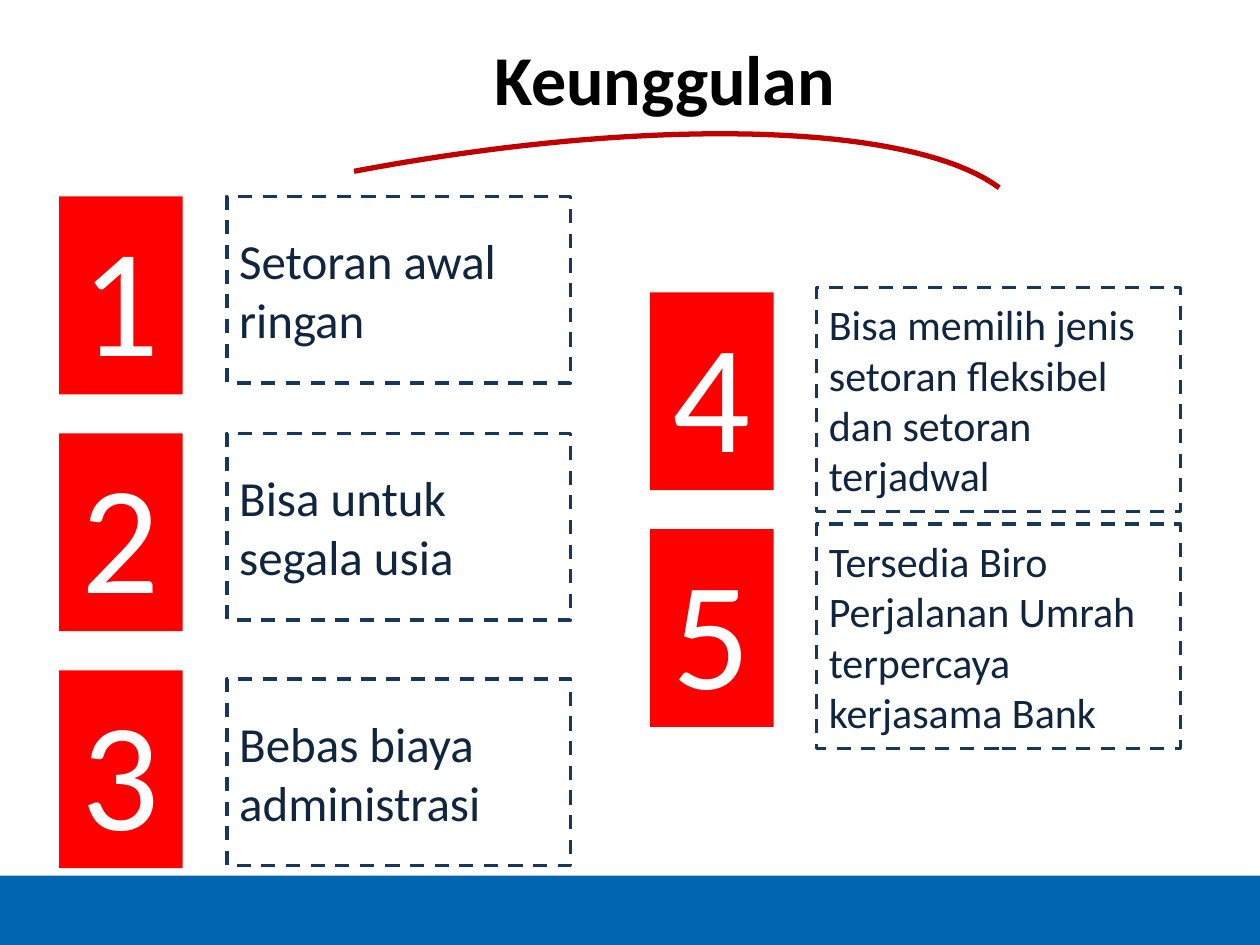
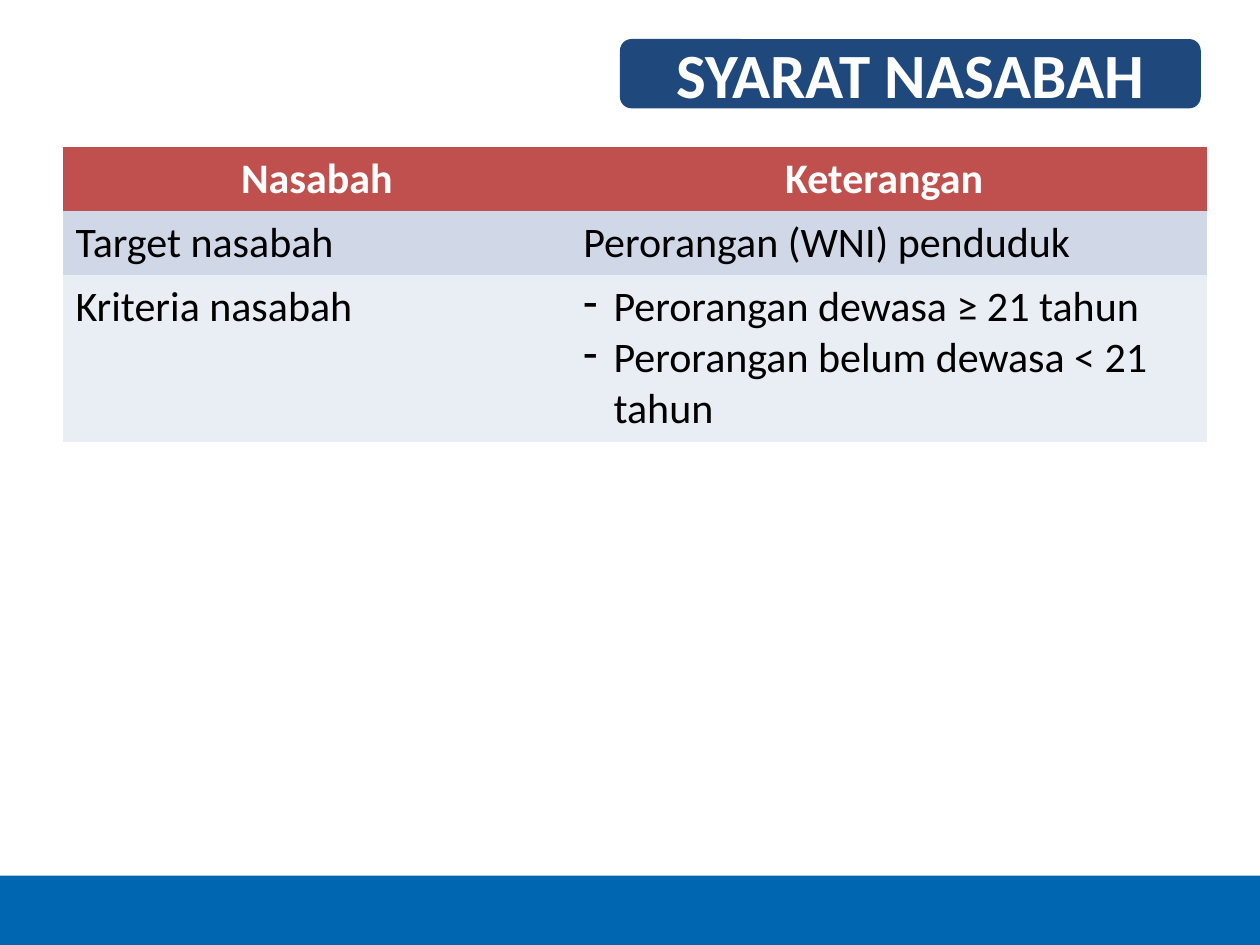
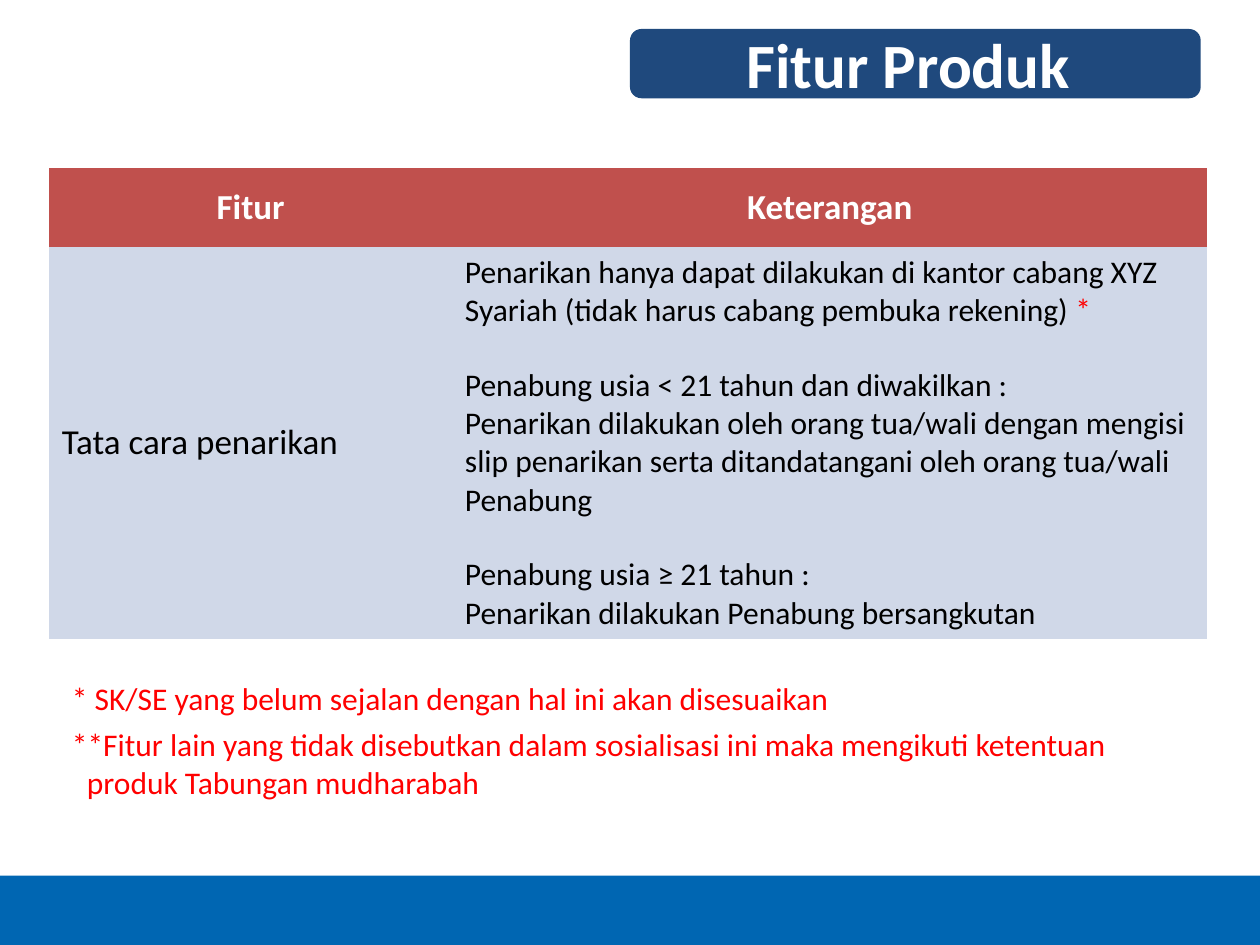
"""Build three slides on a savings product: benefits, terms and features."""
from lxml import etree
from pptx import Presentation, util as u
from pptx.dml.color import RGBColor
from pptx.enum import dml, shapes, text
from pptx.oxml.ns import qn

FONT = "Calibri"
WHITE = RGBColor(0xFF, 0xFF, 0xFF)
BLACK = RGBColor(0, 0, 0)
RED = RGBColor(0xFF, 0, 0)
CRIMSON = RGBColor(0xC0, 0, 0)
BRICK = RGBColor(0xC0, 0x50, 0x4D)
BLUE = RGBColor(0, 0x66, 0xB2)
NAVY = RGBColor(0x1F, 0x49, 0x7D)
EDGE = RGBColor(0x17, 0x37, 0x5E)
INK = RGBColor(0x10, 0x25, 0x3F)
BANDS = RGBColor(0xD0, 0xD8, 0xE8), RGBColor(0xE9, 0xED, 0xF4)
PLAIN = "{2D5ABB26-0587-4C30-8999-92F81FD0307C}"
LEFT, MID = text.PP_ALIGN.LEFT, text.PP_ALIGN.CENTER
TOP, HALF = text.MSO_ANCHOR.TOP, text.MSO_ANCHOR.MIDDLE
RECT = shapes.MSO_SHAPE.RECTANGLE
ROUND = shapes.MSO_SHAPE.ROUNDED_RECTANGLE


class Deck:
    """Hold the shared style and the current slide."""

    def __init__(self):
        self.prs = Presentation()
        self.prs.slide_width, self.prs.slide_height = u.Inches(10), u.Inches(7.5)
        self.slide = None

    def page(self, layout=5):
        first = self.slide is None
        self.slide = self.prs.slides.add_slide(self.prs.slide_layouts[layout])
        if first:
            self.band()

    def band(self):
        band = self.box((0, 6.95, 10, 0.55), BLUE).element
        band.nvSpPr.cNvPr.set("id", "99")
        self.prs.slide_master.element.cSld.spTree.insert(2, band)

    def place(self, shape, at):
        shape.left, shape.top, shape.width, shape.height = map(u.Inches, at)

    def put(self, frame, lines, size, color, bold=False, align=LEFT):
        frame.text = "\n".join(lines)
        for para in frame.paragraphs:
            para.alignment = align
            for run in para.runs:
                font = run.font
                font.name, font.size, font.bold = FONT, u.Pt(size), bold
                font.color.rgb = color

    def fit(self, frame, anchor):
        frame.word_wrap = True
        frame.auto_size = text.MSO_AUTO_SIZE.NONE
        frame.vertical_anchor = anchor

    def hang(self, para, inset, mark=None):
        props = para._p.get_or_add_pPr()
        props.set("marL", str(u.Inches(inset)))
        props.set("indent", str(-u.Inches(inset)))
        if mark:
            etree.SubElement(props, qn("a:buChar"), char=mark)
        else:
            etree.SubElement(props, qn("a:buNone"))

    def box(self, at, fill=None, kind=RECT):
        box = self.slide.shapes.add_shape(kind, *map(u.Inches, at))
        box.shadow.inherit = False
        if fill is None:
            box.fill.background()
            box.line.color.rgb, box.line.width = EDGE, u.Pt(2)
            box.line.dash_style = dml.MSO_LINE.DASH
        else:
            box.fill.solid()
            box.fill.fore_color.rgb = fill
            box.line.fill.background()
        return box

    def title(self, words, at, size, color, anchor):
        title = self.slide.shapes.title
        self.place(title, at)
        self.fit(title.text_frame, anchor)
        self.put(title.text_frame, [words], size, color, True, MID)
        return title

    def banner(self, words, at):
        title = self.title(words, at, 36, WHITE, HALF)
        title.element.addprevious(self.box(at, NAVY, ROUND).element)

    def card(self, num, words, left, top, shift, gap, size, wide, high):
        tile = self.box((left, top, 0.98, 1.57), RED).text_frame
        self.fit(tile, TOP)
        self.put(tile, [str(num)], 88, WHITE, align=MID)
        frame = self.box((left + gap, top + shift, wide, high)).text_frame
        self.fit(frame, HALF)
        self.put(frame, [words], size, INK)

    def arc(self, knots, steps=40):
        dots = []
        for step in range(steps + 1):
            t = step / steps
            parts = (1 - t) ** 3, 3 * t * (1 - t) ** 2, 3 * t * t * (1 - t), t ** 3
            dots.append([u.Inches(sum(p * k[axis] for p, k in zip(parts, knots)))
                         for axis in (0, 1)])
        pen = self.slide.shapes.build_freeform(*dots[0])
        pen.add_line_segments(dots[1:], close=False)
        curve = pen.convert_to_shape()
        curve.shadow.inherit = False
        curve.fill.background()
        curve.line.color.rgb, curve.line.width = CRIMSON, u.Pt(3)

    def table(self, at, cols, rows, cells, size, anchor):
        frame = self.slide.shapes.add_table(len(rows), len(cols), *map(u.Inches, at))
        next(frame.element.iter(qn("a:tableStyleId"))).text = PLAIN
        table = frame.table
        for col, wide in zip(table.columns, cols):
            col.width = u.Inches(wide)
        for y, (row, high) in enumerate(zip(table.rows, rows)):
            row.height = u.Inches(high)
            head = y == 0
            for cell, lines in zip(row.cells, cells[y]):
                cell.vertical_anchor = anchor
                cell.fill.solid()
                cell.fill.fore_color.rgb = BRICK if head else BANDS[(y - 1) % 2]
                self.put(cell.text_frame, lines, size, WHITE if head else BLACK,
                         head, MID if head else LEFT)
        return table

    def notes(self, lines, at):
        body = self.slide.placeholders[1]
        self.place(body, at)
        self.fit(body.text_frame, TOP)
        self.put(body.text_frame, lines, 18, RED)
        for i, para in enumerate(body.text_frame.paragraphs):
            para.space_before = u.Pt(4.5 if i else 0)
            self.hang(para, 0.12)


def gains(deck):
    deck.page()
    deck.title("Keunggulan", (1.64, 0.23, 7.27, 0.77), 40, BLACK, TOP)
    deck.arc([(2.81, 1.36), (5.13, 0.92), (7.23, 0.97), (7.93, 1.49)])
    pitch = 1.88
    near = [("Setoran awal ringan", 0), ("Bisa untuk segala usia", 0),
            ("Bebas biaya administrasi", 0.07)]
    far = ["Bisa memilih jenis setoran fleksibel dan setoran terjadwal",
           "Tersedia Biro Perjalanan Umrah terpercaya kerjasama Bank"]
    for i, (words, shift) in enumerate(near):
        deck.card(i + 1, words, 0.47, 1.56 + i * pitch, shift, 1.33, 28, 2.73, 1.48)
    for i, words in enumerate(far):
        deck.card(i + 4, words, 5.16, 2.32 + i * pitch, -0.04, 1.32, 24, 2.89, 1.78)


def terms(deck):
    deck.page()
    deck.banner("SYARAT NASABAH", (4.92, 0.31, 4.61, 0.55))
    cells = [
        (["Nasabah"], ["Keterangan "]),
        (["Target nasabah"], ["Perorangan (WNI) penduduk"]),
        (["Kriteria nasabah"], ["Perorangan dewasa ≥ 21 tahun",
                                "Perorangan belum dewasa < 21 tahun"]),
    ]
    table = deck.table((0.5, 1.17, 9.08, 2.3), (4.03, 5.05), (0.5, 0.5, 1.3),
                       cells, 24, TOP)
    for para in table.cell(2, 1).text_frame.paragraphs:
        deck.hang(para, 0.24, "-")


def traits(deck):
    deck.page(1)
    deck.banner("Fitur Produk ", (5, 0.23, 4.53, 0.55))
    rules = [
        "Penarikan hanya dapat dilakukan di kantor cabang XYZ Syariah "
        "(tidak harus cabang pembuka rekening) ",
        "Penabung usia < 21 tahun dan diwakilkan :",
        "Penarikan dilakukan oleh orang tua/wali dengan mengisi slip penarikan "
        "serta ditandatangani oleh orang tua/wali Penabung",
        "Penabung usia ≥ 21 tahun :",
        "Penarikan dilakukan Penabung bersangkutan",
    ]
    cells = [(["Fitur"], ["Keterangan"]), (["Tata cara penarikan"], rules)]
    table = deck.table((0.39, 1.33, 9.19, 3.73), (3.2, 5.99), (0.63, 3.1),
                       cells, 20, HALF)
    frame = table.cell(1, 1).text_frame
    deck.put(frame, rules, 18, BLACK)
    paras = frame.paragraphs
    for i in (1, 3):
        paras[i].space_before = u.Pt(20.5)
    star = paras[0].add_run()
    star.text = "*"
    star.font.name, star.font.size = FONT, u.Pt(18)
    star.font.color.rgb = RED
    deck.notes(["* SK/SE yang belum sejalan dengan hal ini akan disesuaikan",
                "**Fitur lain yang tidak disebutkan dalam sosialisasi ini maka "
                "mengikuti ketentuan produk Tabungan mudharabah"],
               (0.47, 5.34, 9.14, 0.55))


def main():
    deck = Deck()
    for build in (gains, terms, traits):
        build(deck)
    deck.prs.save("out.pptx")


if __name__ == "__main__":
    main()
